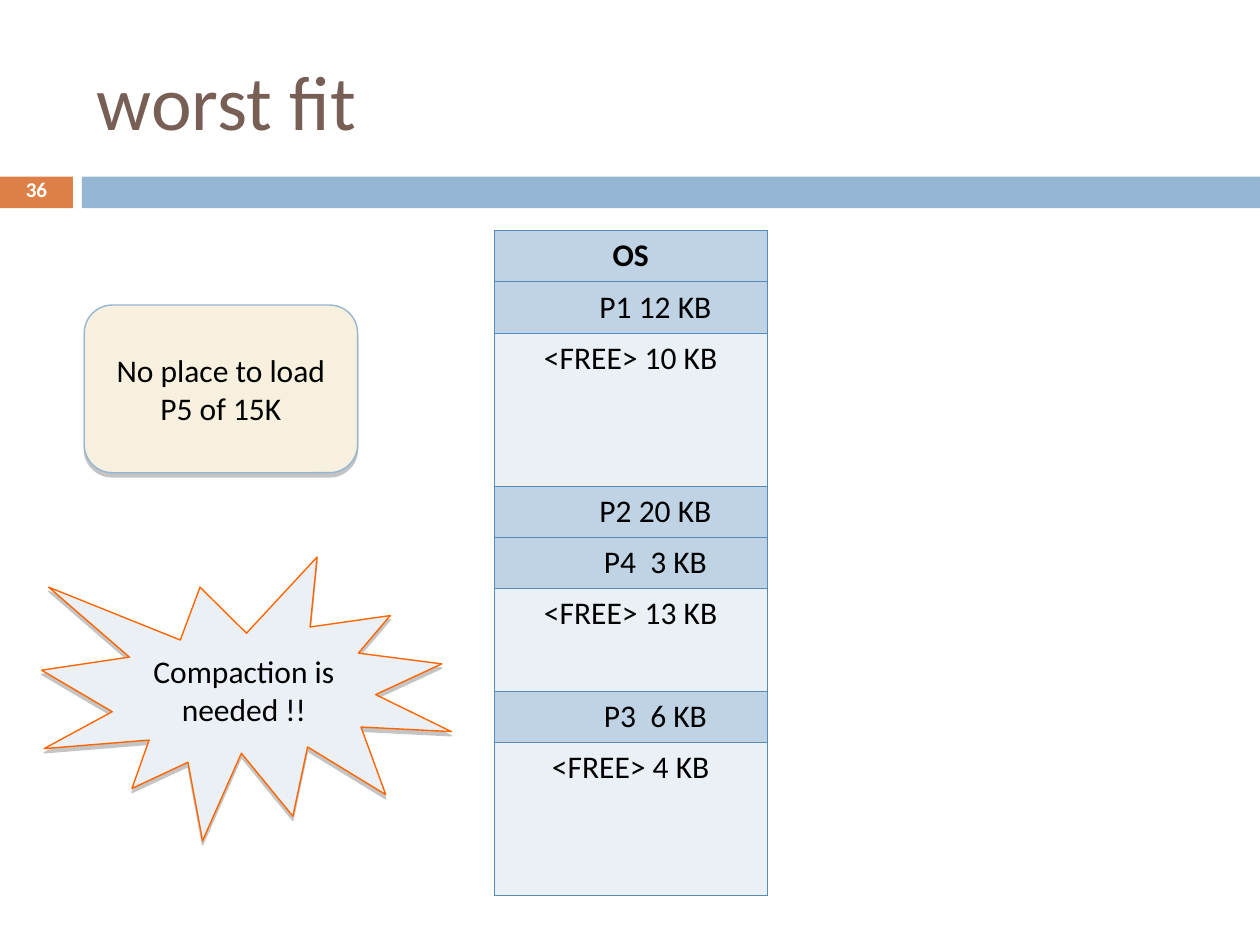
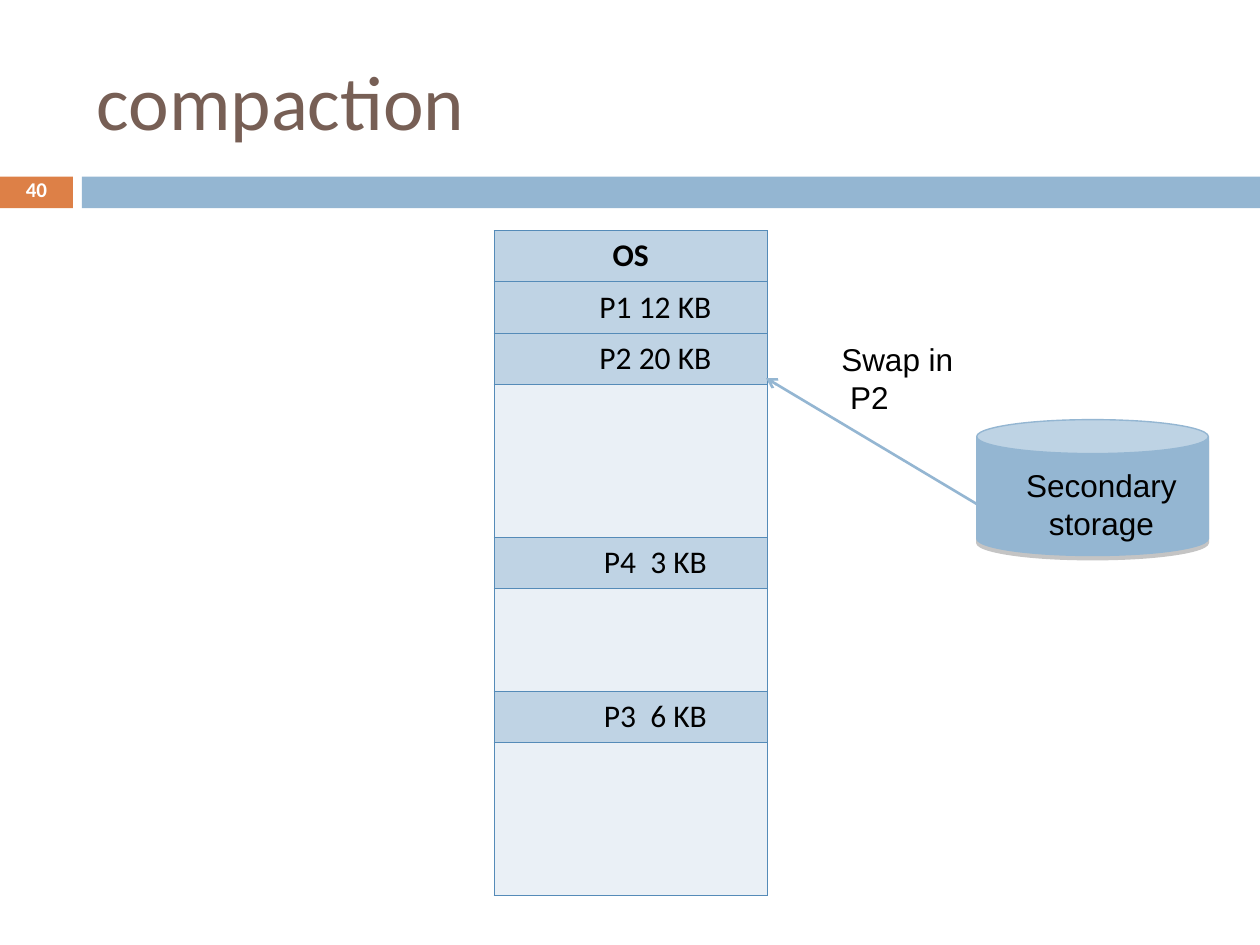
import pptx
import pptx.dml.color
import pptx.enum.shapes
import pptx.enum.text
import pptx.oxml
import pptx.oxml.ns
import pptx.util
from pptx.util import Cm

SHAPE = pptx.enum.shapes.MSO_SHAPE
ALIGN = pptx.enum.text.PP_ALIGN
ANCHOR = pptx.enum.text.MSO_ANCHOR

BLUE, ORANGE, BROWN = "94B6D2", "DD8047", "775F55"
USED, FREE, GRID = "BFD3E4", "EAF0F6", "558BB8"
CREAM, FLAME, BLACK, WHITE = "F7F0DE", "FF6600", "000000", "FFFFFF"

# Memory blocks: label, number of rows, extra left margin in cm (None marks free space)
OS = ("OS", 1, 0)
P1 = ("P1 12 KB", 1, 1)
P2 = ("P2 20 KB", 1, 1)
P3 = ("P3  6 KB", 1, 1)
P4 = ("P4  3 KB", 1, 1)


def free(rows, label=""):
    return label, rows, None


def rgb(color):
    return pptx.dml.color.RGBColor.from_string(color)


def xml(tag, body="", attributes=""):
    namespace = pptx.oxml.ns.nsdecls("a")
    return pptx.oxml.parse_xml(f"<a:{tag} {namespace} {attributes}>{body}</a:{tag}>")


class Deck:
    """Holds the shared style and the slide being filled."""

    font = "Calibri"
    text_size = 18

    def __init__(self):
        self.presentation = pptx.Presentation()
        self.presentation.slide_width = Cm(25.4)
        self.presentation.slide_height = Cm(19.05)
        self.slide = None

    def start_slide(self, title, number):
        self.slide = self.presentation.slides.add_slide(self.presentation.slide_layouts[6])
        self.shape(SHAPE.RECTANGLE, (0, 3.56, 1.47, 0.64), ORANGE)
        self.shape(SHAPE.RECTANGLE, (1.65, 3.56, 23.75, 0.64), BLUE)
        self.text((1.7, 0.64, 22.66, 2.74), title, size=44, color=BROWN, anchor=ANCHOR.MIDDLE)
        page = self.text((0, 3.53, 1.47, 0.69), str(number), size=12, color=WHITE,
                         bold=True, align=ALIGN.CENTER, anchor=ANCHOR.MIDDLE)
        page.paragraphs[0].line_spacing = 0.7

    def fill_frame(self, frame, text, size=text_size, color=BLACK, font=font, bold=False,
                   align=ALIGN.LEFT):
        frame.text = text
        frame.word_wrap = True
        for paragraph in frame.paragraphs:
            paragraph.alignment = align
            for run in paragraph.runs:
                run.font.name = font
                run.font.size = pptx.util.Pt(size)
                run.font.bold = bold
                run.font.color.rgb = rgb(color)

    def text(self, box, text, anchor=ANCHOR.TOP, **style):
        frame = self.slide.shapes.add_textbox(*map(Cm, box)).text_frame
        self.fill_frame(frame, text, **style)
        frame.vertical_anchor = anchor
        return frame

    def shape(self, kind, box, fill, line=None, text=""):
        """Draw a preset shape; an outlined one also casts a shadow."""
        shape = self.slide.shapes.add_shape(kind, *map(Cm, box))
        shape.shadow.inherit = False
        shape.fill.solid()
        shape.fill.fore_color.rgb = rgb(fill)
        if line:
            shape.line.color.rgb = rgb(line)
            shape.line.width = pptx.util.Pt(0.79)
            self.drop_shadow(shape)
        else:
            shape.line.fill.background()
        if text:
            self.fill_frame(shape.text_frame, text, align=ALIGN.CENTER)
            shape.text_frame.vertical_anchor = ANCHOR.MIDDLE
        return shape

    def drop_shadow(self, shape):
        effects = shape._element.spPr.find(pptx.oxml.ns.qn("a:effectLst"))
        effects.append(xml("outerShdw",
                           '<a:srgbClr val="808080"><a:alpha val="45000"/></a:srgbClr>',
                           'dist="30480" dir="5400000" algn="ctr" rotWithShape="0"'))

    def arrow(self, start, end):
        arrow = self.slide.shapes.add_connector(
            pptx.enum.shapes.MSO_CONNECTOR.STRAIGHT, *map(Cm, start + end))
        arrow.line.color.rgb = rgb(BLUE)
        arrow.line.width = pptx.util.Pt(1.5)
        arrow.line._get_or_add_ln().append(xml("tailEnd", attributes='type="arrow"'))
        arrow._element.spPr.append(xml("effectLst"))

    def borders(self, cell, top, bottom):
        """Rule both sides of a cell, and its top and bottom where asked."""
        properties = cell._tc.get_or_add_tcPr()
        sides = (("lnL", True), ("lnR", True), ("lnT", top), ("lnB", bottom))
        for position, (side, ruled) in enumerate(sides):
            paint = f'<a:solidFill><a:srgbClr val="{GRID}"/></a:solidFill>' if ruled else "<a:noFill/>"
            properties.insert(position, xml(side, paint, 'w="5715"'))

    def memory(self, blocks):
        row_count = sum(rows for _, rows, _ in blocks)
        table = self.slide.shapes.add_table(
            row_count, 1, Cm(9.96), Cm(4.65), Cm(5.51), Cm(13.41)).table
        table.first_row = table.horz_banding = False
        row = 0
        for label, rows, indent in blocks:
            for part in range(rows):
                cell = table.cell(row, 0)
                cell.fill.solid()
                cell.fill.fore_color.rgb = rgb(FREE if indent is None else USED)
                cell.margin_left = Cm(0.25 + (indent or 0))
                self.borders(cell, top=part == 0, bottom=part == rows - 1)
                if part == 0 and label:
                    self.fill_frame(cell.text_frame, label, bold=label == "OS",
                                    align=ALIGN.CENTER)
                row += 1


def worst_fit(deck):
    deck.start_slide("worst fit", 36)
    deck.memory([OS, P1, free(3, "<FREE> 10 KB"), P2, P4, free(2, "<FREE> 13 KB"),
                 P3, free(3, "<FREE> 4 KB")])
    verdict = deck.shape(SHAPE.ROUNDED_RECTANGULAR_CALLOUT, (1.7, 6.15, 5.51, 3.38),
                         CREAM, BLUE, "No place to load P5 of 15K")
    verdict.adjustments[0], verdict.adjustments[1] = 0.24, 0.5
    deck.shape(SHAPE.EXPLOSION1, (0.84, 11.23, 8.26, 5.72), FREE, FLAME,
               "Compaction is needed !!")


def compaction(deck):
    deck.start_slide("compaction", 40)
    deck.memory([OS, P1, P2, free(3), P4, free(2), P3, free(3)])
    deck.shape(SHAPE.CAN, (19.69, 8.46, 4.67, 2.74), BLUE, BLUE)
    deck.arrow((19.69, 10.16), (15.44, 7.62))
    swap = deck.text((16.71, 6.73, 4.24, 1.78), "Swap in\nP2", font="Arial")
    swap.paragraphs[1]._p.get_or_add_pPr().set("marL", str(Cm(0.18)))
    deck.text((20.4, 9.27, 3.61, 1.78), "Secondary\nstorage", font="Arial", align=ALIGN.CENTER)


def main():
    deck = Deck()
    worst_fit(deck)
    compaction(deck)
    deck.presentation.save("out.pptx")


if __name__ == "__main__":
    main()
